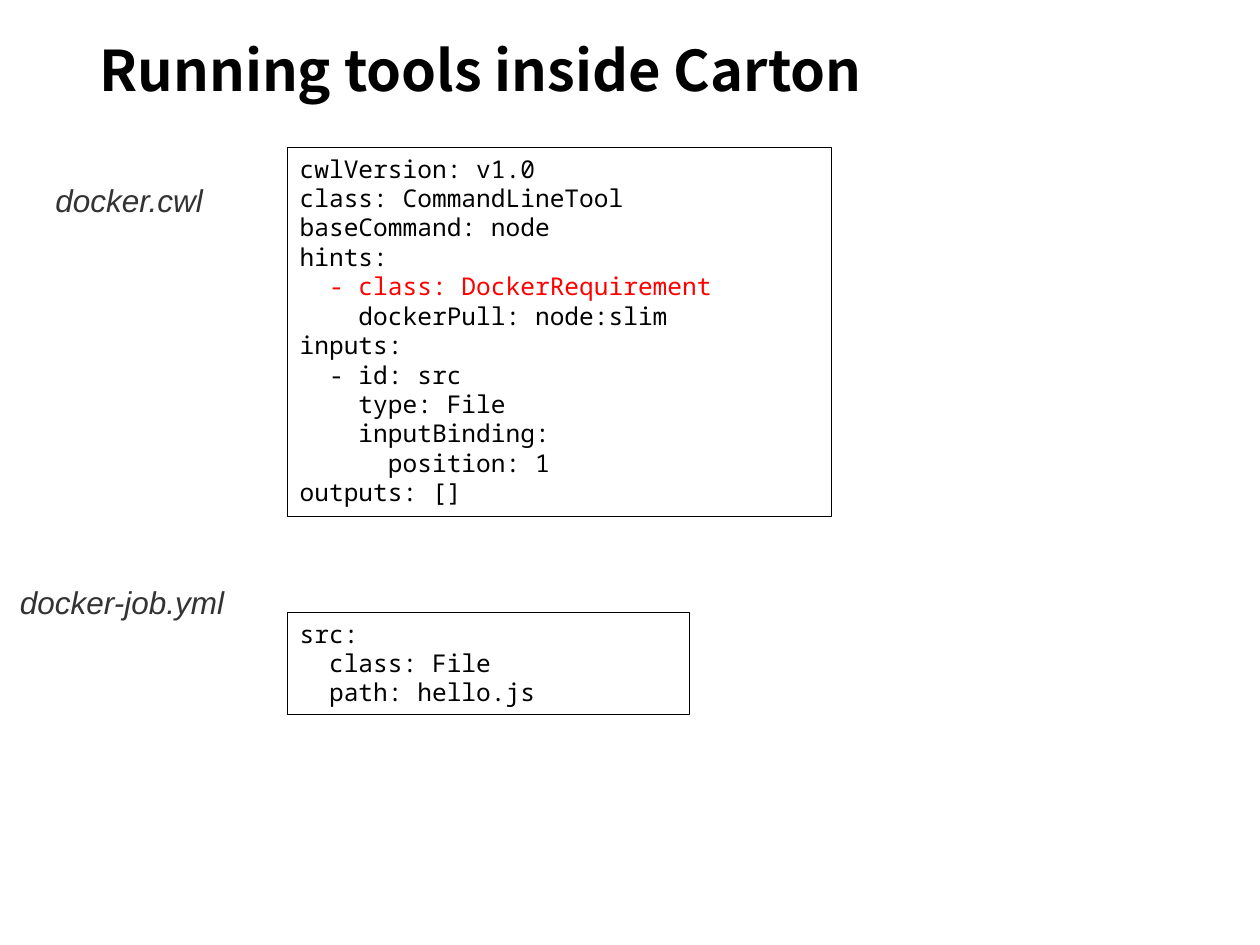
from dataclasses import dataclass

import pptx
import pptx.dml.color
import pptx.enum.shapes
import pptx.enum.text
import pptx.util
from pptx.util import Inches

ANCHOR = pptx.enum.text.MSO_ANCHOR
FIT = pptx.enum.text.MSO_AUTO_SIZE
LEFT = pptx.enum.text.PP_ALIGN.LEFT
BLACK, GRAY, RED = "000000", "333333", "FF0000"

TITLE = {"name": "Noto Sans CJK SC", "size": pptx.util.Pt(32), "bold": True}
LABEL = {"name": "Arial", "size": pptx.util.Pt(18), "italic": True}
CODE = {"name": "Noto Sans Mono", "size": pptx.util.Pt(14)}

TOOL = """cwlVersion: v1.0
class: CommandLineTool
baseCommand: node
hints:
  - class: DockerRequirement
    dockerPull: node:slim
inputs:
  - id: src
    type: File
    inputBinding:
      position: 1
outputs: []"""

JOB = """src:
  class: File
  path: hello.js"""


@dataclass
class Box:
    left: float
    top: float
    width: float
    height: float

    def place(self) -> list:
        """Give the four lengths in the order python-pptx takes them."""
        return [Inches(n) for n in (self.left, self.top, self.width, self.height)]


@dataclass
class File:
    name: str
    label: Box
    code: str
    frame: Box
    marked: str = ""


FILES = [
    File("docker.cwl", Box(0.34, 1.39, 1.59, 0.4),
         TOOL, Box(2.28, 1.17, 4.32, 2.93), "DockerRequirement"),
    File("docker-job.yml", Box(0.06, 4.58, 2.15, 0.4),
         JOB, Box(2.28, 4.86, 3.19, 0.81)),
]


def paint(target, color: str) -> None:
    target.rgb = pptx.dml.color.RGBColor.from_string(color)


def style(para, text: str, form: dict, color: str) -> None:
    """Fill a paragraph with one formatted run."""
    para.alignment = LEFT
    run = para.add_run()
    run.text = text
    for key, value in form.items():
        setattr(run.font, key, value)
    paint(run.font.color, color)


def add_text(slide, box: Box, text: str, form: dict, color: str, wrap: bool):
    frame = slide.shapes.add_textbox(*box.place()).text_frame
    frame.word_wrap = wrap
    style(frame.paragraphs[0], text, form, color)
    return frame


def add_code(slide, file: File) -> None:
    kind = pptx.enum.shapes.MSO_SHAPE.RECTANGLE
    shape = slide.shapes.add_shape(kind, *file.frame.place())
    shape.shadow.inherit = False
    shape.fill.background()
    paint(shape.line.color, BLACK)
    shape.line.width = pptx.util.Pt(0.75)
    frame = shape.text_frame
    frame.word_wrap = True
    frame.vertical_anchor = ANCHOR.TOP
    frame.auto_size = FIT.SHAPE_TO_FIT_TEXT
    for i, line in enumerate(file.code.splitlines()):
        para = frame.add_paragraph() if i else frame.paragraphs[0]
        marked = file.marked and file.marked in line
        style(para, line, CODE, RED if marked else BLACK)


def main() -> None:
    deck = pptx.Presentation()
    deck.slide_width, deck.slide_height = Inches(10), Inches(7.5)
    slide = deck.slides.add_slide(deck.slide_layouts[6])

    title = add_text(slide, Box(0.69, 0.18, 8.62, 0.81),
                     "Running tools inside Carton", TITLE, BLACK, True)
    title.vertical_anchor = ANCHOR.MIDDLE
    title.paragraphs[0].line_spacing = 0.9

    for file in FILES:
        label = add_text(slide, file.label, file.name, LABEL, GRAY, False)
        label.auto_size = FIT.SHAPE_TO_FIT_TEXT
        add_code(slide, file)

    deck.save("out.pptx")


if __name__ == "__main__":
    main()
